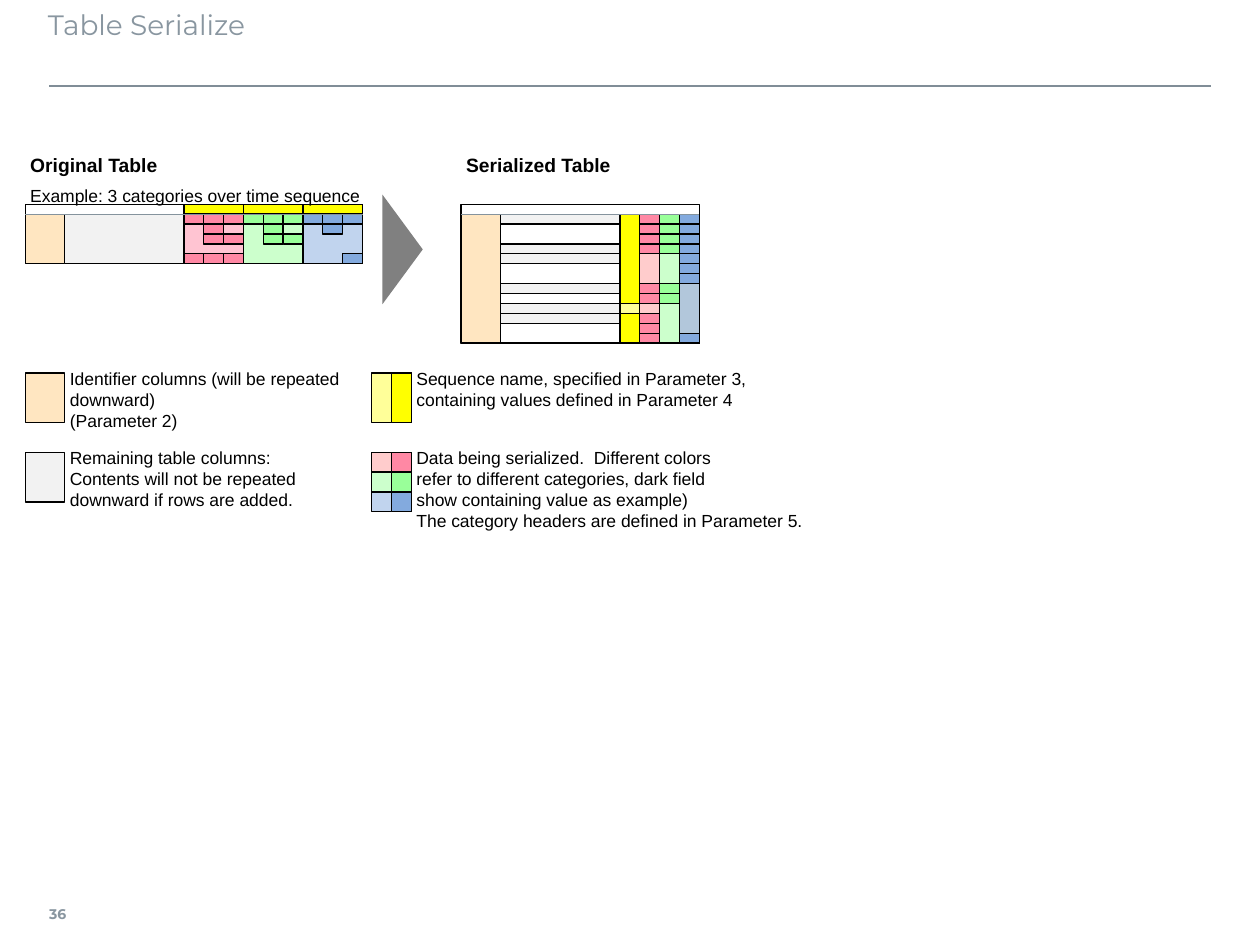
from copy import deepcopy
from lxml.etree import SubElement
from pptx import Presentation
from pptx.dml.color import RGBColor as RGB
from pptx.enum.shapes import MSO_CONNECTOR as CONN, MSO_SHAPE as SHAPE
from pptx.enum.text import MSO_ANCHOR as ANCHOR, PP_ALIGN as ALIGN
from pptx.oxml.ns import qn
from pptx.util import Inches, Pt

COLORS = {
    "black": "000000", "title": "8996A0", "rule": "808D97", "divider": "85939D",
    "arrow": "808080", "id": "FFE6C1", "rest": "F2F2F2",
    "seq": "FFFF00", "seq_light": "FFFF99",
    "red": "FF88A4", "red_light": "FFCCCC", "red_area": "FFC4D2",
    "green": "99FF99", "green_light": "CCFFCC",
    "blue": "83AADE", "blue_light": "C1D4EE", "blue_area": "B2C7DB",
}
COL = 0.63 / 4
ROW = COL / 2
BODY_TOP = 1.7
LEFT_TABLE, RIGHT_TABLE = 0.2, 3.66
LEFT_KEY, RIGHT_KEY = 0.2, 2.95
KEY_TOPS = (2.96, 3.59)


class Slide:
    label = {"size": 10, "name": "Arial", "color": "black", "bold": False}

    def __init__(self, prs):
        self.s = prs.slides.add_slide(prs.slide_layouts[6])

    def shape(self, x, y, w, h, fill=None, line="black", kind=SHAPE.RECTANGLE, rotation=0):
        sp = self.s.shapes.add_shape(kind, Inches(x), Inches(y), Inches(w), Inches(h))
        sp.shadow.inherit = False
        sp.rotation = rotation
        if fill:
            sp.fill.solid()
            sp.fill.fore_color.rgb = RGB.from_string(COLORS[fill])
        else:
            sp.fill.background()
        if line:
            sp.line.color.rgb = RGB.from_string(COLORS[line])
            sp.line.width = Pt(0.75)
        else:
            sp.line.fill.background()
        return sp

    def cell(self, x, col, row, cols, rows, fill=None):
        return self.shape(x + col * COL, BODY_TOP + row * ROW, cols * COL, rows * ROW, fill)

    def line(self, x1, x2, y, color, width):
        c = self.s.shapes.add_connector(CONN.STRAIGHT, Inches(x1), Inches(y), Inches(x2), Inches(y))
        c.line.color.rgb = RGB.from_string(COLORS[color])
        c.line.width = Pt(width)
        SubElement(c._element.spPr, qn("a:effectLst"))

    def text(self, box, paragraphs, insets, anchor=ANCHOR.TOP, wrap=False, **style):
        tf = self.s.shapes.add_textbox(*map(Inches, box)).text_frame
        sides = ("left", "top", "right", "bottom")
        frame = {f"margin_{side}": Inches(v) for side, v in zip(sides, insets)}
        frame.update(word_wrap=wrap, vertical_anchor=anchor)
        for name, value in frame.items():
            setattr(tf, name, value)
        look = {**self.label, **style}
        font = {"size": Pt(look["size"]), "name": look["name"], "bold": look["bold"]}
        for i, content in enumerate(paragraphs):
            p = tf.add_paragraph() if i else tf.paragraphs[0]
            p.text = content
            p.alignment = ALIGN.LEFT
            for r in p.runs:
                for name, value in font.items():
                    setattr(r.font, name, value)
                r.font.color.rgb = RGB.from_string(COLORS[look["color"]])
            for br in p._p.findall(qn("a:br")):
                br.append(deepcopy(p.runs[0]._r.rPr))

    def caption(self, x, y, w, content, **style):
        self.text((x, y, w, 0.16), [content], [0.04] * 4, ANCHOR.MIDDLE, **style)

    def key(self, x, y, w, paragraphs):
        self.text((x + 2 * COL, y - 0.04, w, 0.39), paragraphs, (0.04, 0, 0.04, 0))


def draw_frame(s):
    s.line(0.39, 9.61, 0.68, "rule", 1)
    s.text((0.39, 7.06, 0.35, 0.39), ["36"], (0, 0.05, 0.08, 0.05), ANCHOR.MIDDLE,
           size=8, name="Montserrat", color="title", bold=True)
    s.text((0.38, 0.01, 9.21, 0.63), ["Table Serialize"], (0, 0.05, 0.1, 0.05), wrap=True,
           size=16, name="Montserrat", color="title")


def draw_original(s):
    x = LEFT_TABLE
    for col in (8, 11, 14):
        s.cell(x, col, -1, 3, 1, "seq")
    s.caption(x, 1.47, 2.8, "Example: 3 categories over time sequence")
    s.caption(x, 1.23, 1.4, "Original Table", size=11, bold=True)
    s.cell(x, 0, -1, 17, 6)
    s.cell(x, 0, 0, 17, 5, "rest")
    s.cell(x, 0, 0, 2, 5, "id")
    categories = [
        (8, "red_area", "red", {0: (0, 1, 2), 1: (1,), 2: (1, 2), 4: (0, 1, 2)}),
        (11, "green_light", "green", {0: (0, 1, 2), 1: (1,), 2: (1, 2)}),
        (14, "blue_light", "blue", {0: (0, 1, 2), 1: (1,), 4: (2,)}),
    ]
    for start, area, value, filled in categories:
        s.cell(x, start, 0, 3, 5, area)
        for row, cols in filled.items():
            for col in cols:
                s.cell(x, start + col, row, 1, 1, value)
    s.line(x, x + 17 * COL, BODY_TOP, "divider", 0.75)


def draw_serialized(s):
    x = RIGHT_TABLE
    s.caption(x, 1.23, 1.4, "Serialized Table", size=11, bold=True)
    s.cell(x, 0, -1, 12, 14)
    for row in (0, 3, 4, 7, 9, 10):
        s.cell(x, 2, row, 6, 1, "rest")
    s.cell(x, 0, 0, 2, 13, "id")
    columns = [
        (9, "red_light", "red", (0, 1, 2, 3, 7, 8, 10, 11, 12)),
        (10, "green_light", "green", (0, 1, 2, 3, 7, 8)),
        (11, "blue_area", "blue", (0, 1, 2, 3, 4, 5, 6, 12)),
    ]
    for col, area, value, rows in columns:
        s.cell(x, col, 0, 1, 13, area)
        for row in rows:
            s.cell(x, col, row, 1, 1, value)
    s.cell(x, 8, 0, 1, 13, "seq_light")
    for row, rows in ((0, 9), (10, 3)):
        s.cell(x, 8, row, 1, rows, "seq")
    s.line(x, x + 12 * COL, BODY_TOP, "divider", 0.75)


def draw_legend(s):
    upper, lower = KEY_TOPS
    swatches = [
        (LEFT_KEY, upper, 5 * ROW, "id", None),
        (LEFT_KEY, lower, 5 * ROW, "rest", None),
        (RIGHT_KEY, upper, 5 * ROW, "seq_light", "seq"),
    ]
    for i, hue in enumerate(("red", "green", "blue")):
        swatches.append((RIGHT_KEY, lower + i * COL, COL, f"{hue}_light", hue))
    for x, y, h, fill, dark in swatches:
        s.shape(x, y, 2 * COL, h, fill)
        if dark:
            s.shape(x + COL, y, COL, h, dark)
    s.key(LEFT_KEY, upper, 2.4, ["Identifier columns (will be repeated\ndownward)",
                                 "(Parameter 2)"])
    s.key(LEFT_KEY, lower, 2.4, ["Remaining table columns:\nContents will not be repeated",
                                 "downward if rows are added."])
    s.key(RIGHT_KEY, upper, 3.3, ["Sequence name, specified in Parameter 3,",
                                  "containing values defined in Parameter 4"])
    s.key(RIGHT_KEY, lower, 3.3, ["Data being serialized.  Different colors\n"
                                  "refer to different categories, dark field\n"
                                  "show containing value as example)",
                                  "The category headers are defined in Parameter 5."])


def main():
    prs = Presentation()
    prs.slide_width, prs.slide_height = Inches(10), Inches(7.5)
    s = Slide(prs)
    draw_frame(s)
    draw_original(s)
    draw_serialized(s)
    draw_legend(s)
    s.shape(2.76, 1.82, 0.87, 0.32, "arrow", None, SHAPE.ISOSCELES_TRIANGLE, 90)
    prs.save("out.pptx")


if __name__ == "__main__":
    main()
